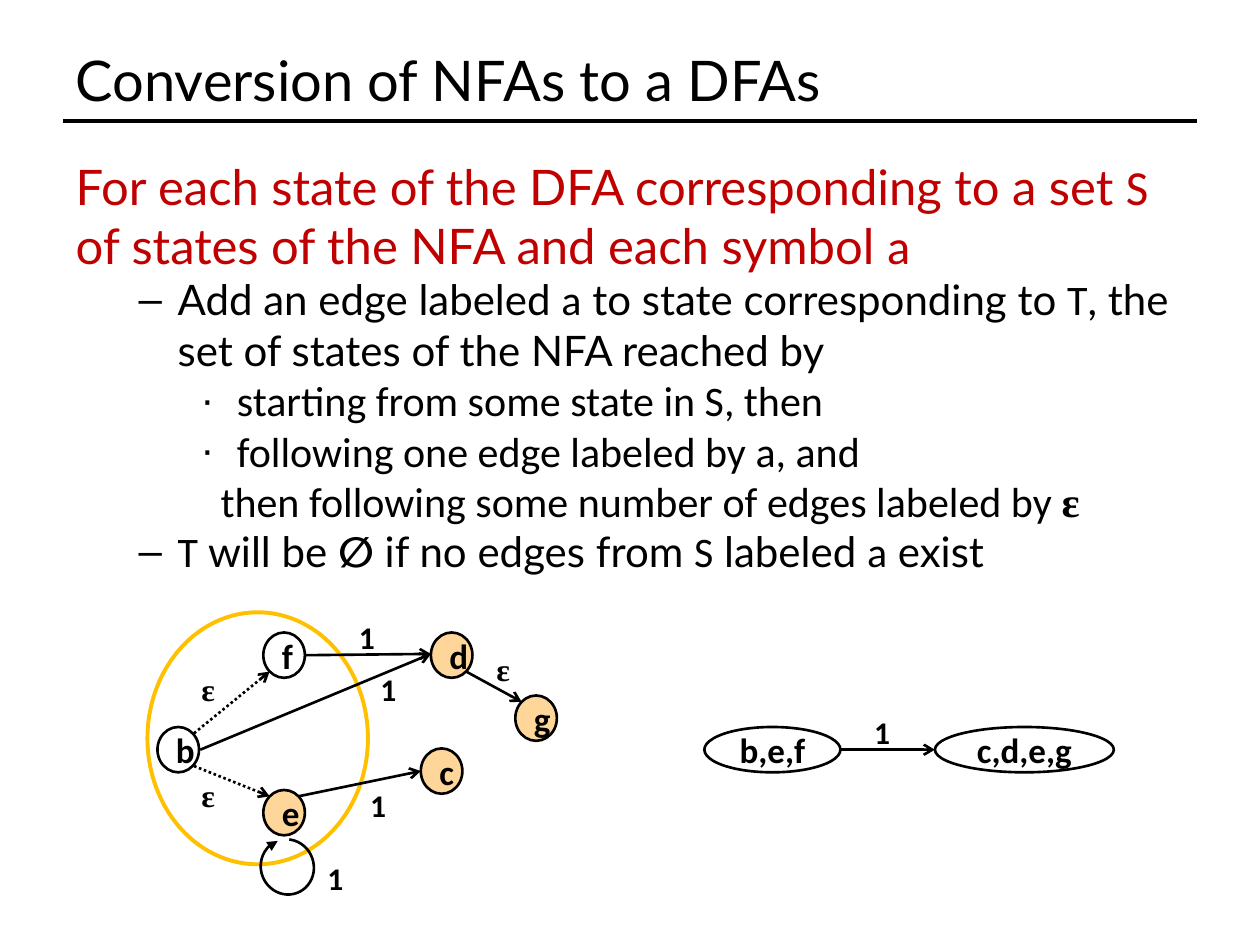
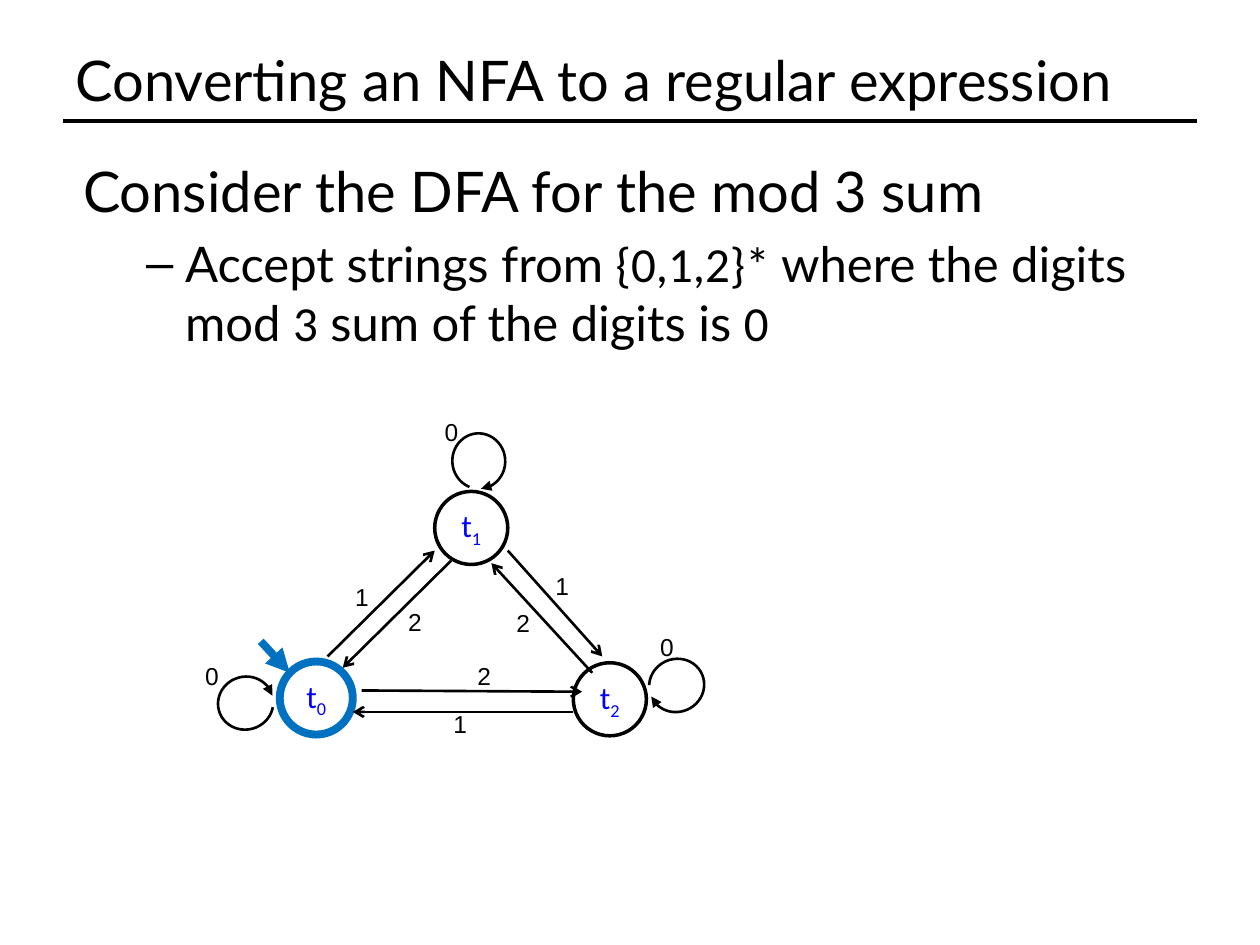
"""Build two lecture slides on converting NFAs to DFAs and regular expressions."""
from pptx import Presentation
from pptx.dml.color import RGBColor
from pptx.enum.dml import MSO_LINE
from pptx.enum.shapes import MSO_CONNECTOR, MSO_SHAPE
from pptx.enum.text import MSO_ANCHOR, MSO_AUTO_SIZE, PP_ALIGN
from pptx.oxml.ns import qn
from pptx.util import Pt
from lxml.etree import SubElement

PX = 9144
BLACK, RED, PEACH, GOLD = "000000", "C00000", "FFD699", "FFC000"
BLUE, LABEL_BLUE = "0070C0", "0000FF"
HEAD, TEXT, GREEK, SANS = "Lato", "Calibri", "Times New Roman", "Arial"

TITLE_BOX = (50, 30, 900, 66)
RULE = (50, 96, 950, 96)
DASH, DOT = (81, -31, "–"), (128, -28, "∙")
FLUSH, CONTINUED = (0, 0, None), (115, 0, None)

SUBSET = {
    "title": "Conversion of NFAs to a DFAs",
    "box": (50, 119, 900, 495),
    "gap": 0,
    "paras": [
        (0, FLUSH, 28, RED, [("For each state of the DFA corresponding to a set ", HEAD), ("S", TEXT),
                             (" of states of the NFA and each symbol ", HEAD), ("a", TEXT)]),
        (1, DASH, 24, BLACK, [("Add an edge labeled ", HEAD), ("a", TEXT),
                              (" to state corresponding to ", HEAD), ("T", TEXT),
                              (", the set of states of the NFA reached by", HEAD)]),
        (2, DOT, 24, BLACK, [("starting from some state in S, then", TEXT)]),
        (2, DOT, 24, BLACK, [("following one edge labeled by a, and", TEXT)]),
        (2, CONTINUED, 24, BLACK, [("then following some number of edges labeled by ", TEXT),
                                   ("ɛ", GREEK, True)]),
        (1, DASH, 24, BLACK, [("T", TEXT), (" will be ", HEAD), ("∅", HEAD, True),
                              (" if no edges from ", HEAD), ("S", TEXT), (" labeled ", HEAD),
                              ("a", TEXT), (" exist", HEAD)]),
    ],
}
MOD_SUM = {
    "title": "Converting an NFA to a regular expression",
    "box": (56, 119, 900, 183),
    "gap": 0.2,
    "paras": [
        (0, FLUSH, 32, BLACK, [("Consider the DFA for the mod 3 sum", HEAD)]),
        (1, DASH, 28, BLACK, [("Accept strings from ", HEAD), ("{0,1,2}*", TEXT),
                              (" where the digits mod ", HEAD), ("3", TEXT),
                              (" sum of the digits is ", HEAD), ("0", TEXT)]),
    ],
}

NFA_SIZE = (33, 36)
NFA_STATES = [("f", 209, 502, None), ("e", 209, 627, PEACH), ("b", 125, 577, None),
              ("c", 334, 594, PEACH), ("d", 342, 502, PEACH), ("g", 409, 552, PEACH)]
DFA_STATES = [("b,e,f", 559, 577, 108), ("c,d,e,g", 742, 577, 142)]
START_SET = (117, 486, 175, 200)
EPSILON_EDGES = [(154, 582, 214, 533), (154, 608, 214, 632)]
SUBSET_EDGES = [(242, 520, 342, 519), (159, 595, 342, 519), (237, 632, 334, 612),
                (370, 533, 414, 557), (667, 595, 742, 595)]
EPSILONS = [(150, 527), (150, 611), (384, 511)]
ONES = [(275, 486), (250, 677), (284, 619), (292, 527), (684, 561)]
SUBSET_LOOPS = [(206, 667, 249.8)]

MOD_SIZE = (58, 58)
MOD_STATES = [("0", 222, 525, BLUE, 4.5), ("2", 455, 526, BLACK, 2), ("1", 345, 390, BLACK, 2)]
MOD_EDGES = [(260, 521, 345, 437), (403, 437, 478, 521), (455, 565, 280, 565),
             (358, 445, 272, 530), (470, 534, 390, 447), (287, 548, 462, 549)]
ENTRY = (207, 509, 230, 534)
MOD_LOOPS = [(173, 537, 344.4), (358, 345, 85.5), (515, 523, 156.4)]
DIGITS = {"0": [(343, 326), (514, 497), (153, 520)],
          "1": [(272, 457), (431, 448), (350, 558)],
          "2": [(369, 520), (400, 478), (314, 477)]}


def emu(lengths):
    return [length * PX for length in lengths]


def color(value):
    return RGBColor.from_string(value)


def add_span(para, text, font, size, tint=BLACK, bold=False):
    span = para.add_run()
    span.text = text
    span.font.name, span.font.size, span.font.bold = font, Pt(size), bold
    span.font.color.rgb = color(tint)
    return span


def place(box, frame):
    box.left, box.top, box.width, box.height = emu(frame)


def set_outline(shape, tint, width, head=None, dash=None):
    shape.line.color.rgb = color(tint)
    shape.line.width = Pt(width)
    if dash:
        shape.line.dash_style = dash
    if head:
        SubElement(shape.element.spPr.find(qn("a:ln")), qn("a:tailEnd"), type=head)


def add_line(page, ends, tint=BLACK, width=1.5, head="arrow", dash=None):
    edge = page.shapes.add_connector(MSO_CONNECTOR.STRAIGHT, *emu(ends))
    set_outline(edge, tint, width, head, dash)
    SubElement(edge.element.spPr, qn("a:effectLst"))


def add_outline_shape(page, kind, frame, tint=BLACK, width=1.5, fill=None, head=None):
    shape = page.shapes.add_shape(kind, *emu(frame))
    shape.shadow.inherit = False
    if fill:
        shape.fill.solid()
        shape.fill.fore_color.rgb = color(fill)
    else:
        shape.fill.background()
    set_outline(shape, tint, width, head)
    return shape


def add_state(page, frame, **style):
    state = add_outline_shape(page, MSO_SHAPE.OVAL, frame, **style)
    para = state.text_frame.paragraphs[0]
    para.alignment = PP_ALIGN.CENTER
    return para


def add_loops(page, loops):
    for left, top, turn in loops:
        loop = add_outline_shape(page, MSO_SHAPE.ARC, (left, top, 44, 42), head="triangle")
        loop.adjustments[0], loop.adjustments[1] = 14.537, 0
        loop.rotation = turn


def add_labels(page, text, corners, size, font, frame_size, bold=False):
    for corner in corners:
        box = page.shapes.add_textbox(*emu(corner + frame_size))
        box.text_frame.word_wrap = False
        box.text_frame.auto_size = MSO_AUTO_SIZE.SHAPE_TO_FIT_TEXT
        add_span(box.text_frame.paragraphs[0], text, font, size, bold=bold)


def format_para(para, level, layout, space):
    margin, indent, bullet = layout
    para.level = level
    props = para._p.get_or_add_pPr()
    props.set("marL", str(margin * PX))
    props.set("indent", str(indent * PX))
    if bullet:
        SubElement(props, qn("a:buChar"), char=bullet)
    else:
        SubElement(props, qn("a:buNone"))
    para.space_before = Pt(space)


def add_page(deck, content):
    page = deck.slides.add_slide(deck.slide_layouts[1])
    add_line(page, RULE, width=2, head=None)
    title, body = page.placeholders
    place(title, TITLE_BOX)
    title.text_frame.vertical_anchor = MSO_ANCHOR.MIDDLE
    title.text_frame.auto_size = MSO_AUTO_SIZE.NONE
    heading = title.text_frame.paragraphs[0]
    heading.alignment = PP_ALIGN.LEFT
    add_span(heading, content["title"], HEAD, 32)

    place(body, content["box"])
    frame = body.text_frame
    frame.auto_size = MSO_AUTO_SIZE.NONE
    for index, (level, layout, size, tint, spans) in enumerate(content["paras"]):
        para = frame.add_paragraph() if index else frame.paragraphs[0]
        format_para(para, level, layout, size * content["gap"] if index else 0)
        for text, font, *bold in spans:
            add_span(para, text, font, size, tint, bool(bold))
    return page


def draw_subset_example(page):
    add_outline_shape(page, MSO_SHAPE.OVAL, START_SET, GOLD, 2.25)
    for name, left, top, fill in NFA_STATES:
        add_span(add_state(page, (left, top, *NFA_SIZE), fill=fill), name, TEXT, 20, bold=True)
    for name, left, top, width in DFA_STATES:
        add_span(add_state(page, (left, top, width, NFA_SIZE[1])), name, TEXT, 20, bold=True)
    for ends in EPSILON_EDGES:
        add_line(page, ends, dash=MSO_LINE.ROUND_DOT)
    for ends in SUBSET_EDGES:
        add_line(page, ends)
    add_loops(page, SUBSET_LOOPS)
    add_labels(page, "ɛ", EPSILONS, 18, GREEK, (32, 40), bold=True)
    add_labels(page, "1", ONES, 18, TEXT, (34, 40), bold=True)


def draw_mod_sum(page):
    for number, left, top, tint, width in MOD_STATES:
        para = add_state(page, (left, top, *MOD_SIZE), tint=tint, width=width)
        add_span(para, "t", TEXT, 18, LABEL_BLUE)
        subscript = add_span(para, number, TEXT, 18, LABEL_BLUE)
        subscript._r.get_or_add_rPr().set("baseline", "-25000")
    for ends in MOD_EDGES:
        add_line(page, ends)
    add_loops(page, MOD_LOOPS)
    for digit, corners in DIGITS.items():
        add_labels(page, digit, corners, 14, SANS, (31, 34))
    add_line(page, ENTRY, BLUE, 4.5, "triangle")


def main():
    deck = Presentation()
    deck.slide_width, deck.slide_height = emu((1000, 750))
    draw_subset_example(add_page(deck, SUBSET))
    draw_mod_sum(add_page(deck, MOD_SUM))
    deck.save("out.pptx")


if __name__ == "__main__":
    main()
